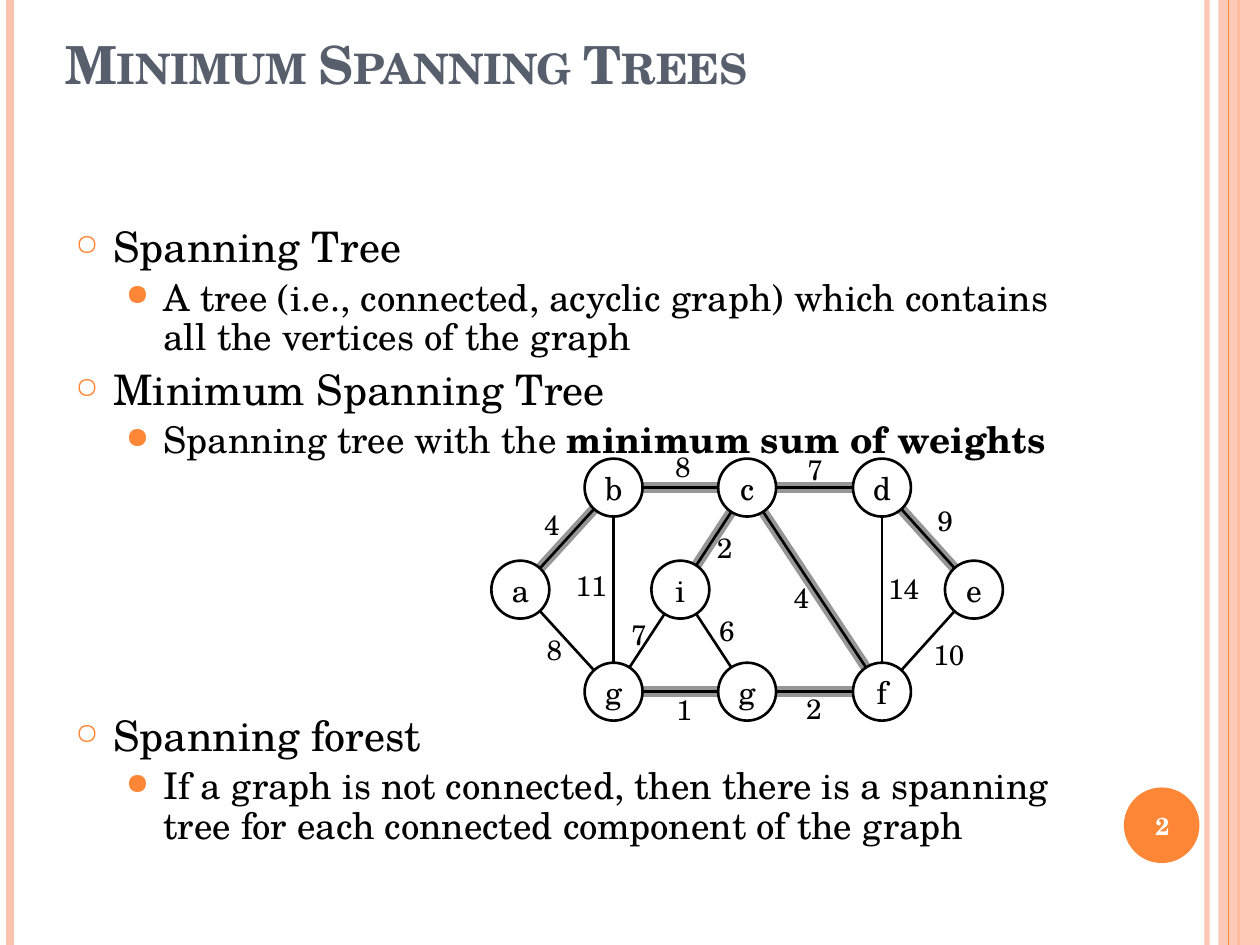
from dataclasses import dataclass
from math import hypot

from lxml.etree import SubElement
from pptx import Presentation
from pptx.dml.color import RGBColor
from pptx.enum.shapes import MSO_CONNECTOR as Connector, MSO_SHAPE as Preset
from pptx.enum.text import MSO_ANCHOR as Anchor, PP_ALIGN as Align
from pptx.oxml.ns import qn
from pptx.util import Inches, Pt


@dataclass(frozen=True)
class Theme:
    font: str = "TeX Gyre Schola"
    accent: str = "FE8637"
    pale: str = "FEC3AE"
    heading: str = "575F6D"
    ink: str = "000000"
    tree: str = "969696"
    white: str = "FFFFFF"
    title_size: float = 30
    topic_size: float = 24
    detail_size: float = 21
    node_size: float = 18
    weight_size: float = 16
    number_size: float = 14
    edge_width: float = 1.5
    tree_width: float = 6


@dataclass(frozen=True)
class Rule:
    x: float
    color: str
    width: float
    opacity: int = 100


@dataclass(frozen=True)
class Bullet:
    symbol: str
    scale: int
    indent: float
    size: float
    level: int
    space: float


@dataclass(frozen=True)
class Node:
    label: str
    x: float
    y: float


@dataclass(frozen=True)
class Edge:
    start: str
    end: str
    weight: str
    label_x: float
    label_y: float
    in_tree: bool = False


THEME = Theme()
RADIUS = 0.23
TOP, MIDDLE, BOTTOM = 3.87, 4.68, 5.49
LEFT, CENTER, RIGHT = 4.87, 5.93, 7.0
TOPIC = Bullet("○", 70, 0.3, THEME.topic_size, 0, 6)
DETAIL = Bullet("●", 80, 0.7, THEME.detail_size, 1, 4.2)

NODES = {
    "a": Node("a", 4.13, MIDDLE),
    "b": Node("b", LEFT, TOP),
    "c": Node("c", CENTER, TOP),
    "d": Node("d", RIGHT, TOP),
    "e": Node("e", 7.73, MIDDLE),
    "g": Node("g", LEFT, BOTTOM),
    "second g": Node("g", CENTER, BOTTOM),
    "f": Node("f", RIGHT, BOTTOM),
    "i": Node("i", 5.4, MIDDLE),
}
EDGES = [
    Edge("a", "b", "4", 4.22, 3.98, True),
    Edge("b", "c", "8", 5.26, 3.52, True),
    Edge("c", "d", "7", 6.31, 3.54, True),
    Edge("a", "g", "8", 4.24, 4.97),
    Edge("b", "g", "11", 4.47, 4.46),
    Edge("g", "second g", "1", 5.27, 5.45, True),
    Edge("second g", "f", "2", 6.3, 5.44, True),
    Edge("g", "i", "7", 4.91, 4.85),
    Edge("c", "i", "2", 5.59, 4.16, True),
    Edge("c", "f", "4", 6.2, 4.56, True),
    Edge("d", "f", "14", 6.95, 4.49),
    Edge("d", "e", "9", 7.34, 3.95, True),
    Edge("f", "e", "10", 7.31, 5.01),
    Edge("i", "second g", "6", 5.61, 4.82),
]


def set_opacity(properties, percent: int) -> None:
    color = next(properties.iter(qn("a:srgbClr")))
    SubElement(color, qn("a:alpha"), val=str(percent * 1000))


def add_line(slide, start: tuple, end: tuple, color: str, width: float):
    line = slide.shapes.add_connector(Connector.STRAIGHT, *map(Inches, start + end))
    line.line.color.rgb = RGBColor.from_string(color)
    line.line.width = Pt(width)
    SubElement(line._element.spPr, qn("a:effectLst"))
    return line


def add_rule(slide, rule: Rule) -> None:
    line = add_line(slide, (rule.x, 0), (rule.x, 7.5), rule.color, rule.width)
    if rule.opacity < 100:
        set_opacity(line._element.spPr, rule.opacity)


def add_filled(slide, preset, box: tuple, color: str):
    shape = slide.shapes.add_shape(preset, *map(Inches, box))
    shape.shadow.inherit = False
    shape.fill.solid()
    shape.fill.fore_color.rgb = RGBColor.from_string(color)
    shape.line.fill.background()
    return shape


def add_run(paragraph, text: str, *, size: float, color: str = THEME.ink,
            bold: bool = False, small_caps: bool = False) -> None:
    run = paragraph.add_run()
    run.text = text
    run.font.name = THEME.font
    run.font.size = Pt(size)
    run.font.bold = bold
    run.font.color.rgb = RGBColor.from_string(color)
    if small_caps:
        run.font._element.set("cap", "small")


def add_text(slide, box: tuple, text: str, *, anchor=Anchor.TOP, align=Align.LEFT,
             wrap: bool = True, **style) -> None:
    frame = slide.shapes.add_textbox(*map(Inches, box)).text_frame
    frame.word_wrap = wrap
    frame.vertical_anchor = anchor
    paragraph = frame.paragraphs[0]
    paragraph.alignment = align
    add_run(paragraph, text, **style)


def add_list(slide, box: tuple, items: list) -> None:
    frame = slide.shapes.add_textbox(*map(Inches, box)).text_frame
    frame.word_wrap = True
    for index, (bullet, text, strong) in enumerate(items):
        paragraph = frame.add_paragraph() if index else frame.paragraphs[0]
        paragraph.level = bullet.level
        paragraph.line_spacing = 0.9
        paragraph.space_before = Pt(bullet.space if index else 0)
        properties = paragraph._p.get_or_add_pPr()
        properties.set("marL", str(Inches(bullet.indent)))
        properties.set("indent", str(Inches(-0.3)))
        color = SubElement(properties, qn("a:buClr"))
        SubElement(color, qn("a:srgbClr"), val=THEME.accent)
        SubElement(properties, qn("a:buSzPct"), val=str(bullet.scale * 1000))
        SubElement(properties, qn("a:buChar"), char=bullet.symbol)
        add_run(paragraph, text, size=bullet.size)
        if strong:
            add_run(paragraph, strong, size=bullet.size, bold=True)


def add_node(slide, node: Node) -> None:
    box = (node.x - RADIUS, node.y - RADIUS, 2 * RADIUS, 2 * RADIUS)
    shape = slide.shapes.add_shape(Preset.OVAL, *map(Inches, box))
    shape.shadow.inherit = False
    shape.fill.background()
    shape.line.color.rgb = RGBColor.from_string(THEME.ink)
    shape.line.width = Pt(THEME.edge_width)
    frame = shape.text_frame
    frame.word_wrap = False
    frame.vertical_anchor = Anchor.MIDDLE
    frame.paragraphs[0].alignment = Align.CENTER
    add_run(frame.paragraphs[0], node.label, size=THEME.node_size)


def add_edge(slide, edge: Edge, color: str, width: float) -> None:
    start, end = NODES[edge.start], NODES[edge.end]
    ratio = RADIUS / hypot(end.x - start.x, end.y - start.y)
    dx, dy = (end.x - start.x) * ratio, (end.y - start.y) * ratio
    add_line(slide, (start.x + dx, start.y + dy), (end.x - dx, end.y - dy), color, width)


def main() -> None:
    presentation = Presentation()
    presentation.slide_width, presentation.slide_height = Inches(10), Inches(7.5)
    slide = presentation.slides.add_slide(presentation.slide_layouts[6])

    for rule in (Rule(9.58, THEME.pale, 3, 93), Rule(0.08, THEME.pale, 4.5),
                 Rule(9.83, THEME.accent, 1.5)):
        add_rule(slide, rule)
    band = add_filled(slide, Preset.RECTANGLE, (9.67, 0, 0.33, 7.5), THEME.pale)
    set_opacity(band._element.spPr, 87)
    add_rule(slide, Rule(9.75, THEME.accent, 0.75))
    add_filled(slide, Preset.OVAL, (8.92, 6.25, 0.6, 0.6), THEME.accent)
    add_text(slide, (0.42, 0.08, 8.17, 0.72), "Minimum Spanning Trees", anchor=Anchor.BOTTOM,
             size=THEME.title_size, color=THEME.heading, bold=True, small_caps=True)
    add_list(slide, (0.5, 1.75, 8.17, 2), [
        (TOPIC, "Spanning Tree", ""),
        (DETAIL, "A tree (i.e., connected, acyclic graph) which contains all the vertices of the graph", ""),
        (TOPIC, "Minimum Spanning Tree", ""),
        (DETAIL, "Spanning tree with the ", "minimum sum of weights"),
    ])
    add_list(slide, (0.5, 5.63, 8.17, 1.3), [
        (TOPIC, "Spanning forest", ""),
        (DETAIL, "If a graph is not connected, then there is a spanning tree for each "
                 "connected component of the graph", ""),
    ])
    add_text(slide, (8.89, 6.27, 0.67, 0.57), "2", anchor=Anchor.MIDDLE, align=Align.CENTER,
             size=THEME.number_size, color=THEME.white, bold=True)

    for edge in EDGES:
        if edge.in_tree:
            add_edge(slide, edge, THEME.tree, THEME.tree_width)
    for node in NODES.values():
        add_node(slide, node)
    for edge in EDGES:
        add_edge(slide, edge, THEME.ink, THEME.edge_width)
        label_width = 0.32 if len(edge.weight) == 1 else 0.45
        add_text(slide, (edge.label_x, edge.label_y, label_width, 0.37), edge.weight,
                 wrap=False, size=THEME.weight_size)

    presentation.save("out.pptx")


if __name__ == "__main__":
    main()
